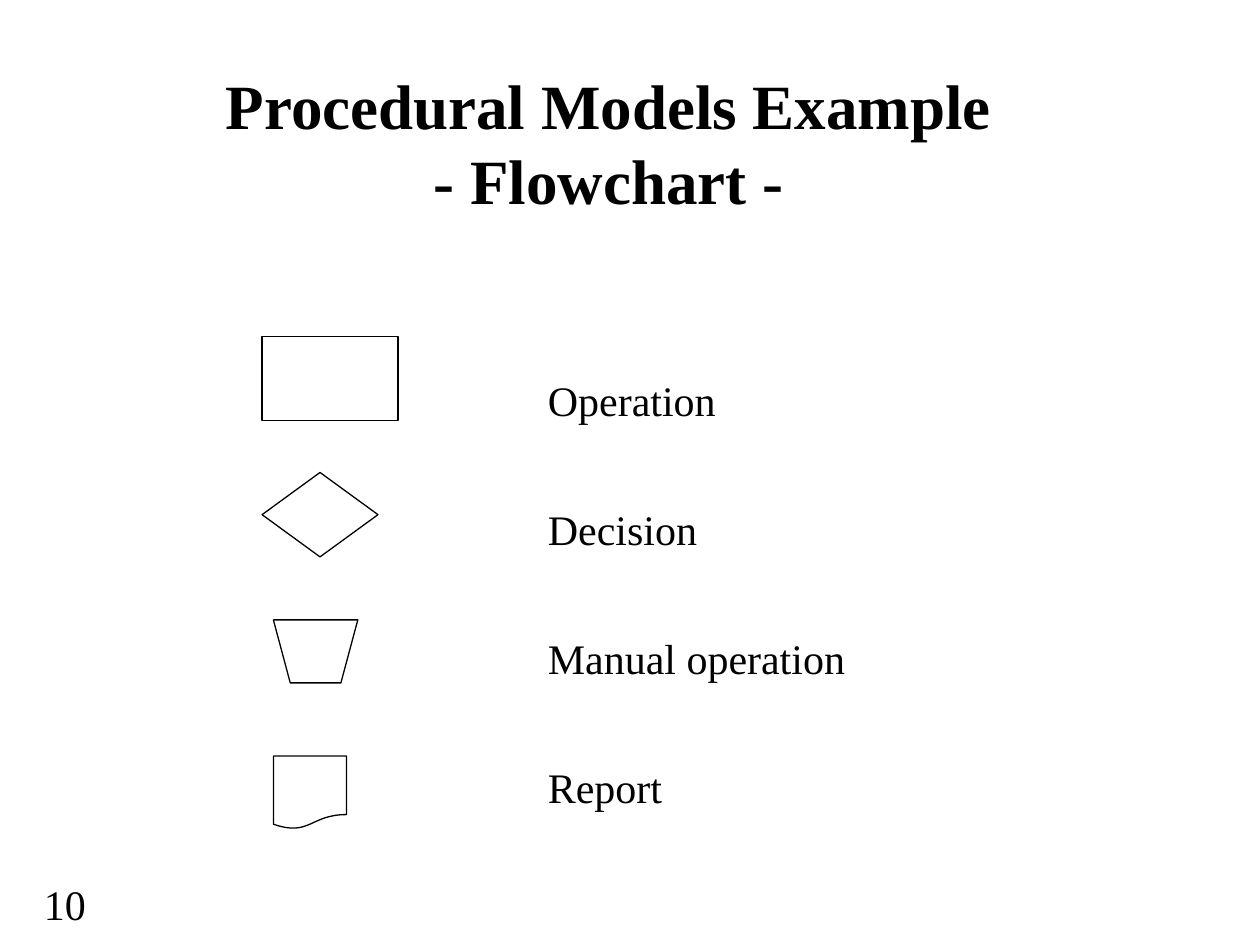
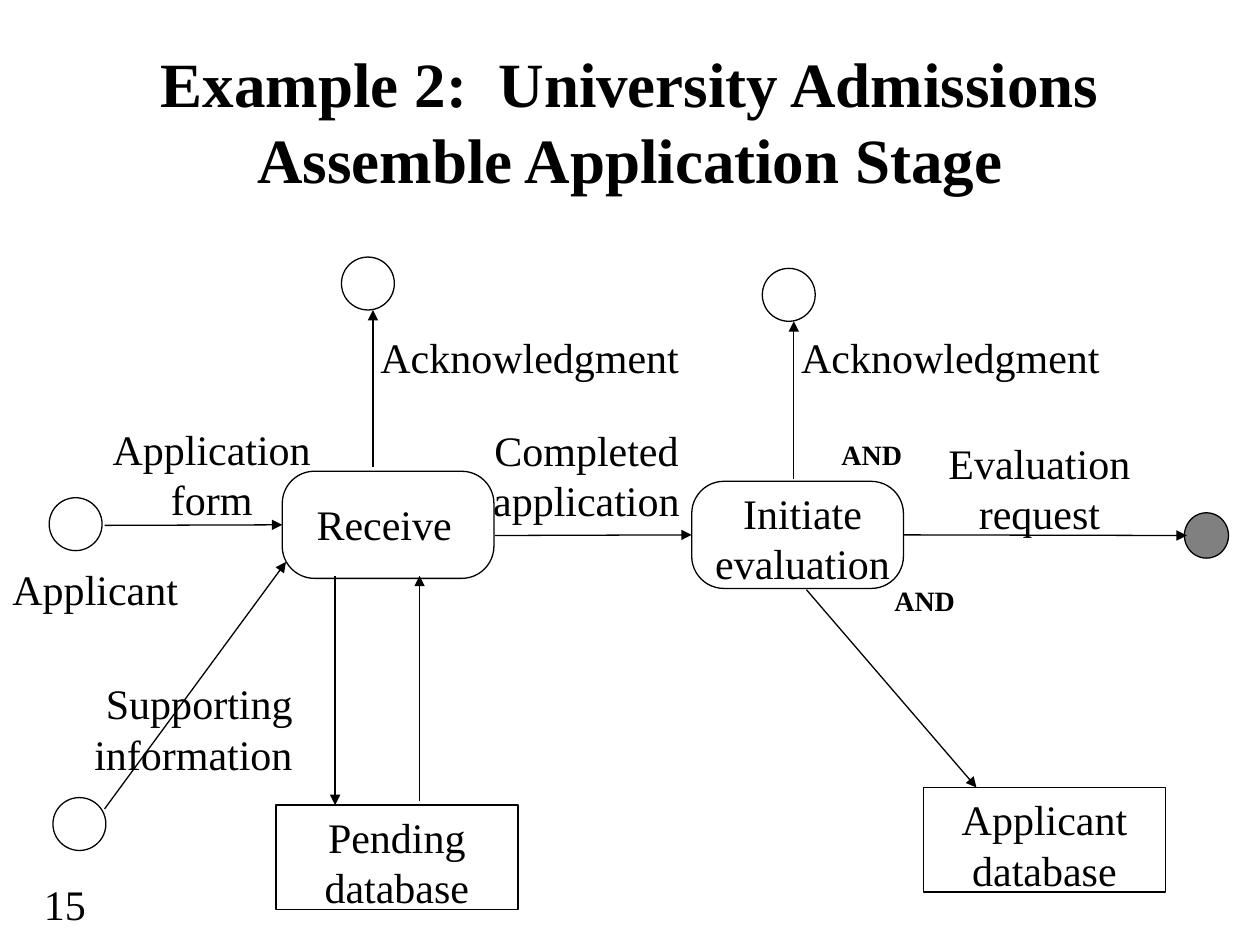
from lxml import etree
from pptx import Presentation
from pptx.dml.color import RGBColor
from pptx.enum import shapes, text
from pptx.oxml.ns import qn
from pptx.util import Inches, Pt

BLACK = RGBColor(0, 0, 0)
GRAY = RGBColor(0x80, 0x80, 0x80)
FONT = "Times New Roman"
SHAPE = shapes.MSO_SHAPE
LEFT, CENTER, RIGHT = text.PP_ALIGN.LEFT, text.PP_ALIGN.CENTER, text.PP_ALIGN.RIGHT
LEFT_SITE, RIGHT_SITE = 1, 3
CIRCLE_SIZE = 0.42


class Deck:
    """Shared style, plus the slide now being filled."""

    def __init__(self):
        self.prs = Presentation()
        self.prs.slide_width, self.prs.slide_height = Inches(10), Inches(7.5)
        self.slide = None

    def start_slide(self, title, left, top, number):
        self.slide = self.prs.slides.add_slide(self.prs.slide_layouts[5])
        heading = self.slide.shapes.title
        heading.left, heading.top = Inches(left), Inches(top)
        heading.width, heading.height = Inches(8.5), Inches(1.25)
        frame = heading.text_frame
        frame.text = title
        frame.auto_size = text.MSO_AUTO_SIZE.NONE
        frame.vertical_anchor = text.MSO_ANCHOR.MIDDLE
        self.style(frame.paragraphs[0], 36, True, CENTER)
        self.label(number, 0.25, 6.92, 0.83)

    def style(self, paragraph, size, bold, align):
        paragraph.alignment = align
        font = paragraph.font
        font.name, font.size, font.bold = FONT, Pt(size), bold
        font.color.rgb = BLACK

    def label(self, words, left, top, width, align=LEFT, size=24, bold=False, gap=0):
        lines = words.split("\n")
        height = 0.1 + len(lines) * size / 60 + (len(lines) - 1) * gap / 72
        box = self.slide.shapes.add_textbox(
            Inches(left), Inches(top), Inches(width), Inches(height))
        frame = box.text_frame
        frame.word_wrap = True
        frame.text = words
        for index, paragraph in enumerate(frame.paragraphs):
            if index and gap:
                paragraph.space_before = Pt(gap)
            self.style(paragraph, size, bold, align)

    def symbol(self, kind, left, top, width, height, fill=None):
        shape = self.slide.shapes.add_shape(
            kind, Inches(left), Inches(top), Inches(width), Inches(height))
        shape.shadow.inherit = False
        if fill is None:
            shape.fill.background()
        else:
            shape.fill.solid()
            shape.fill.fore_color.rgb = fill
        shape.line.color.rgb = BLACK
        shape.line.width = Pt(0.75)
        return shape

    def circle(self, left, top):
        self.symbol(SHAPE.FLOWCHART_CONNECTOR, left, top, CIRCLE_SIZE, CIRCLE_SIZE)

    def stage(self, left, top):
        box = self.symbol(SHAPE.ROUNDED_RECTANGLE, left, top, 1.68, 0.85)
        box.adjustments[0] = 0.3
        return box

    def arrow(self, start, end, source=None, target=None):
        """Arrow between points; source leaves rightwards, target is met on its left."""
        line = self.slide.shapes.add_connector(
            shapes.MSO_CONNECTOR.STRAIGHT, *map(Inches, start + end))
        if source is not None:
            line.begin_connect(source, RIGHT_SITE)
        if target is not None:
            line.end_connect(target, LEFT_SITE)
        line.line.color.rgb = BLACK
        line.line.width = Pt(0.75)
        etree.SubElement(line.line._get_or_add_ln(), qn("a:tailEnd"), type="triangle")
        etree.SubElement(line._element.spPr, qn("a:effectLst"))


def flowchart_symbols(deck):
    deck.start_slide("Procedural Models Example\v- Flowchart -", 0.58, 0.5, "10")
    for kind, left, top, width, height in (
        (SHAPE.FLOWCHART_PROCESS, 2.08, 2.67, 1.08, 0.67),
        (SHAPE.FLOWCHART_DECISION, 2.08, 3.75, 0.92, 0.67),
        (SHAPE.FLOWCHART_MANUAL_OPERATION, 2.17, 4.92, 0.67, 0.5),
        (SHAPE.FLOWCHART_DOCUMENT, 2.17, 6, 0.58, 0.58),
    ):
        deck.symbol(kind, left, top, width, height)
    deck.label("Operation\nDecision\nManual operation\nReport", 4.25, 2.92, 3.5, gap=45)


def university_admissions(deck):
    deck.start_slide("Example 2:  University Admissions\vAssemble Application Stage",
                     0.75, 0.33, "15")

    # Stages, sources and final state
    receive = deck.stage(2.24, 3.74)
    initiate = deck.stage(5.49, 3.82)
    deck.circle(0.39, 3.95)
    deck.circle(0.42, 6.33)
    deck.symbol(SHAPE.FLOWCHART_CONNECTOR, 9.4, 4.07, 0.35, 0.36, GRAY)

    # Databases
    for name, left, top in (("Pending", 2.19, 6.39), ("Applicant", 7.33, 6.25)):
        deck.symbol(SHAPE.FLOWCHART_PROCESS, left, top, 1.92, 0.83)
        deck.label(name + "\ndatabase", left - 0.08, top, 2.08, CENTER)

    # Acknowledgments sent up from each stage
    for left, top in ((2.71, 2.04), (6.05, 2.13)):
        deck.circle(left, top)
        deck.arrow((left + 0.25, top + 1.67), (left + 0.25, top + CIRCLE_SIZE))
        deck.label("Acknowledgment", left + 0.21, 2.58, 2.75)

    # Flows
    deck.arrow((0.83, 4.17), (2.24, 4.17), target=receive)
    deck.arrow((3.93, 4.25), (5.49, 4.25), target=initiate)
    deck.arrow((7.17, 4.25), (9.42, 4.25), source=initiate)
    for start, end in (
        ((0.83, 6.42), (2.27, 4.46)),
        ((2.66, 4.57), (2.66, 6.39)),
        ((3.33, 6.36), (3.33, 4.57)),
        ((6.4, 4.68), (7.75, 6.25)),
    ):
        deck.arrow(start, end)

    # Stage and flow names
    for words, left, top, width, align in (
        ("Applicant", 0, 4.42, 1.58, LEFT),
        ("Application\nform", 0.64, 3.31, 2.08, CENTER),
        ("Receive", 1.8, 3.91, 2.5, CENTER),
        ("Completed\napplication", 3.49, 3.32, 2.33, CENTER),
        ("Supporting\ninformation", 0, 5.33, 2.42, RIGHT),
        ("Initiate\nevaluation", 5.33, 3.82, 2.08, CENTER),
        ("Evaluation\nrequest", 7.25, 3.42, 2, CENTER),
    ):
        deck.label(words, left, top, width, align)
    for left, top in ((6.58, 3.42), (7, 4.58)):
        deck.label("AND", left, top, 0.75, size=16, bold=True)


def main():
    deck = Deck()
    flowchart_symbols(deck)
    university_admissions(deck)
    deck.prs.save("out.pptx")


if __name__ == "__main__":
    main()
